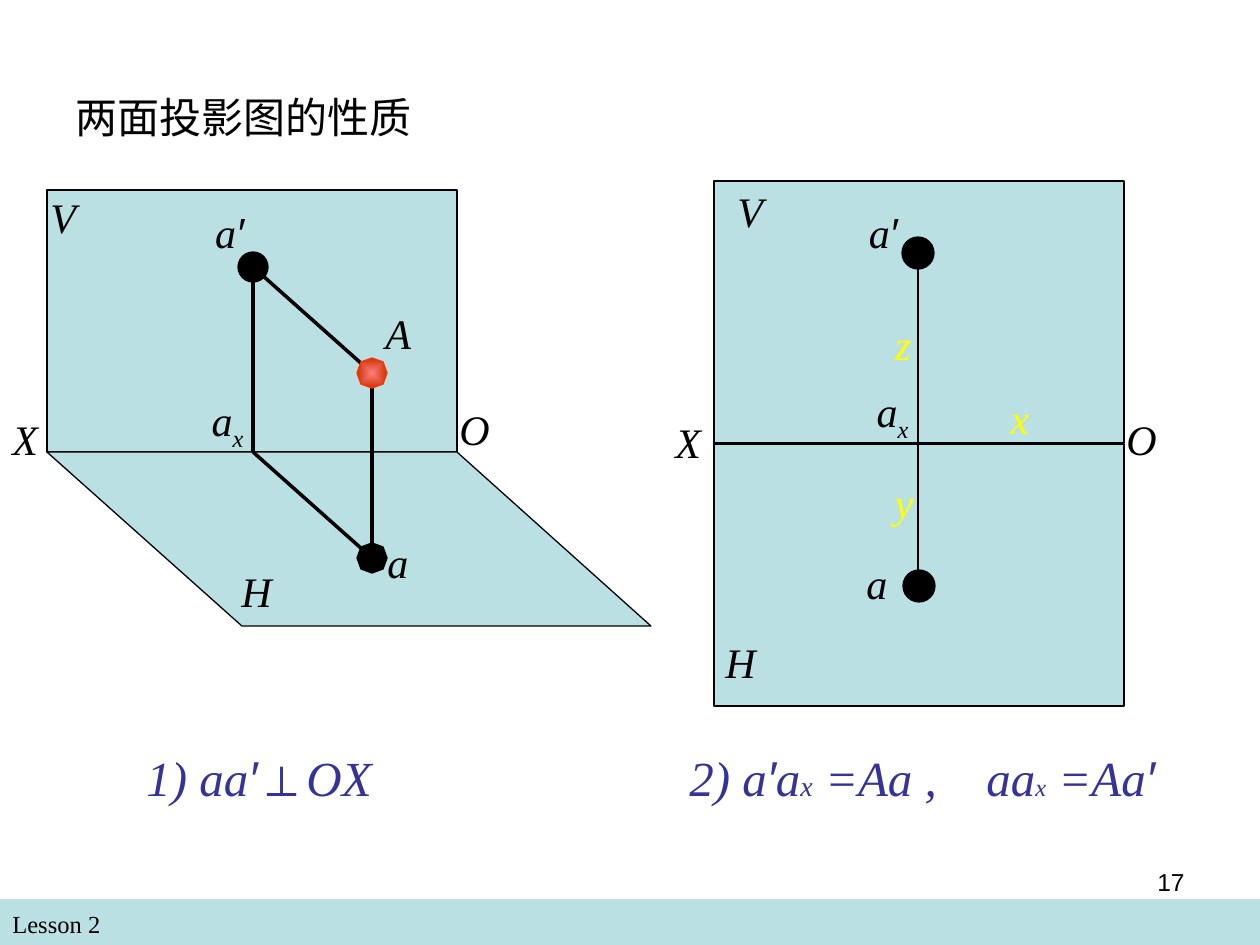
import math

import lxml.etree
import pptx
import pptx.dml.color
import pptx.enum.shapes
import pptx.enum.text
import pptx.oxml.ns
import pptx.util

PX = 914400 / 126
SHAPES = pptx.enum.shapes.MSO_SHAPE
ALIGN = pptx.enum.text.PP_ALIGN
ANCHOR = pptx.enum.text.MSO_ANCHOR
qn = pptx.oxml.ns.qn
THEME = {
    "black": "000000", "plane": "BBE0E3", "formula": "333399", "distance": "FFFF00",
    "point": "FF3300", "point_center": "FF7C80", "point_edge": "CC3300",
    "serif": "Times New Roman", "sans": "Arial", "chinese": "Noto Sans CJK SC",
    "small": 14, "index": 16, "label": 24, "statement": 28,
}


def paint(shape, fill, line, width):
    shape.shadow.inherit = False
    shape.fill.solid()
    shape.fill.fore_color.rgb = pptx.dml.color.RGBColor.from_string(THEME[fill])
    shape.line.color.rgb = pptx.dml.color.RGBColor.from_string(THEME[line])
    shape.line.width = pptx.util.Pt(width)


def write(box, runs, size, color="black", font="serif", italic=True,
          align=ALIGN.LEFT, anchor=ANCHOR.MIDDLE, wrap=True, tabs=()):
    frame = slide.shapes.add_textbox(*[round(value * PX) for value in box]).text_frame
    for name, value in {"word_wrap": wrap, "vertical_anchor": anchor}.items():
        setattr(frame, name, value)
    paragraph = frame.paragraphs[0]
    paragraph.alignment = align
    if tabs:
        properties = paragraph._p.get_or_add_pPr()
        stops = lxml.etree.SubElement(properties, qn("a:tabLst"))
        for stop in tabs:
            lxml.etree.SubElement(stops, qn("a:tab"), pos=str(round(stop * PX)), algn="l")
    for text, changes in runs:
        style = {"size": size, "name": font, "italic": italic, **changes}
        baseline = style.pop("baseline", None)
        style["size"] = pptx.util.Pt(THEME[style["size"]])
        style["name"] = THEME[style["name"]]
        run = paragraph.add_run()
        run.text = text
        run.font.color.rgb = pptx.dml.color.RGBColor.from_string(THEME[color])
        for name, value in style.items():
            setattr(run.font, name, value)
        character = run._r.get_or_add_rPr()
        lxml.etree.SubElement(character, qn("a:ea"), typeface=THEME["chinese"])
        if baseline:
            character.set("baseline", str(baseline))


presentation = pptx.Presentation()
presentation.slide_width = round(1260 * PX)
presentation.slide_height = round(945 * PX)
slide = presentation.slides.add_slide(presentation.slide_layouts[6])

footer = slide.shapes.add_shape(SHAPES.RECTANGLE, 0, *[round(v * PX) for v in (899, 1260, 46)])
paint(footer, "plane", "plane", 0)
footer.line.fill.background()
write((0, 903, 609, 43), [("Lesson 2", {})], "small", italic=False, anchor=ANCHOR.TOP)
write((63, 38, 1134, 157), [("两面投影图的性质", {})], "label", font="chinese", italic=False)
write((903, 861, 294, 65), [("17", {})], "small", font="sans", italic=False,
      align=ALIGN.RIGHT, anchor=ANCHOR.TOP)

prime = ("′", {"name": "sans"})
statements = [
    ("1) aa", {}), prime, ("⊥", {"name": "sans", "italic": False}),
    ("OX\t2) a", {}), prime, ("a", {}), ("x", {"size": "index"}),
    (" =Aa ,\taa", {}), ("x", {"size": "small"}), (" =Aa", {}), prime,
]
write((134, 741, 1067, 72), statements, "statement", "formula", tabs=(543, 840))

for left, top, width in [(47, 190, 0), (714, 444, 0.75), (714, 181, 0.75)]:
    plane = slide.shapes.add_shape(
        SHAPES.RECTANGLE, *[round(v * PX) for v in (left, top, 410, 262)])
    paint(plane, "plane", "black", width)

builder = slide.shapes.build_freeform(47, 452, scale=PX)
builder.add_line_segments([(242, 626), (651, 626), (457, 452)], close=True)
paint(builder.convert_to_shape(), "plane", "black", 0)

projectors = [
    (253, 452, 372, 558, 0), (372, 558, 372, 373, 0),
    (253, 452, 253, 267, 0), (253, 267, 372, 373, 0),
    (918, 250, 918, 586, 1.5), (714, 444, 1124, 444, 1.5),
]
for *ends, width in projectors:
    projector = slide.shapes.add_connector(
        pptx.enum.shapes.MSO_CONNECTOR.STRAIGHT, *[round(v * PX) for v in ends])
    projector.line.color.rgb = pptx.dml.color.RGBColor.from_string(THEME["black"])
    projector.line.width = pptx.util.Pt(width)
    lxml.etree.SubElement(projector._element.spPr, qn("a:effectLst"))

for x, y, radius, width in [(253, 267, 15, 0), (918, 253, 16, 0.75), (919, 586, 16, 0.75)]:
    dot = slide.shapes.add_shape(SHAPES.OVAL, *[
        round(v * PX) for v in (x - radius, y - radius, 2 * radius, 2 * radius)])
    paint(dot, "black", "black", width)

for x, y, color in [(372, 373, "point"), (372, 558, "black")]:
    corners = [(x + 15 * math.cos(step * math.pi / 4), y + 15 * math.sin(step * math.pi / 4))
               for step in range(8)]
    builder = slide.shapes.build_freeform(*corners[0], scale=PX)
    builder.add_line_segments(corners[1:], close=True)
    point = builder.convert_to_shape()
    paint(point, color, color, 0)
    if color == "point":
        point.fill.gradient()
        for stop, shade in zip(point.fill.gradient_stops, ("point_center", "point_edge")):
            stop.color.rgb = pptx.dml.color.RGBColor.from_string(THEME[shade])
        gradient = point._element.spPr.find(qn("a:gradFill"))
        gradient.remove(gradient.find(qn("a:lin")))
        radial = lxml.etree.SubElement(gradient, qn("a:path"), {"path": "rect"})
        lxml.etree.SubElement(radial, qn("a:fillToRect"),
                              {side: "50000" for side in "ltrb"})

labels = [
    ("H", 229, 559, 55, "black"), ("V", 38, 185, 50, "black"),
    ("O", 447, 397, 55, "black"), ("X", 0, 407, 50, "black"),
    ("a", 375, 530, 45, "black"), ("A", 373, 301, 50, "black"),
    ("X", 663, 410, 50, "black"), ("H", 713, 630, 55, "black"),
    ("V", 725, 179, 50, "black"), ("O", 1114, 407, 55, "black"),
    ("a", 854, 551, 45, "black"), ("x", 998, 386, 44, "distance"),
    ("z", 882, 312, 42, "distance"), ("y", 882, 470, 44, "distance"),
]
for text, left, top, width, color in labels:
    write((left, top, width, 63), [(text, {})], "label", color, align=ALIGN.CENTER, wrap=False)

for left, width in [(189, 93), (830, 118)]:
    write((left, 200, width, 63), [("a", {}), ("′ ", {"name": "sans"})], "label",
          align=ALIGN.CENTER)

for left, top in [(199, 388), (864, 379)]:
    write((left, top, 57, 71), [("a", {}), ("x", {"baseline": -25000})], "label",
          align=ALIGN.CENTER, wrap=False)

presentation.save("out.pptx")
